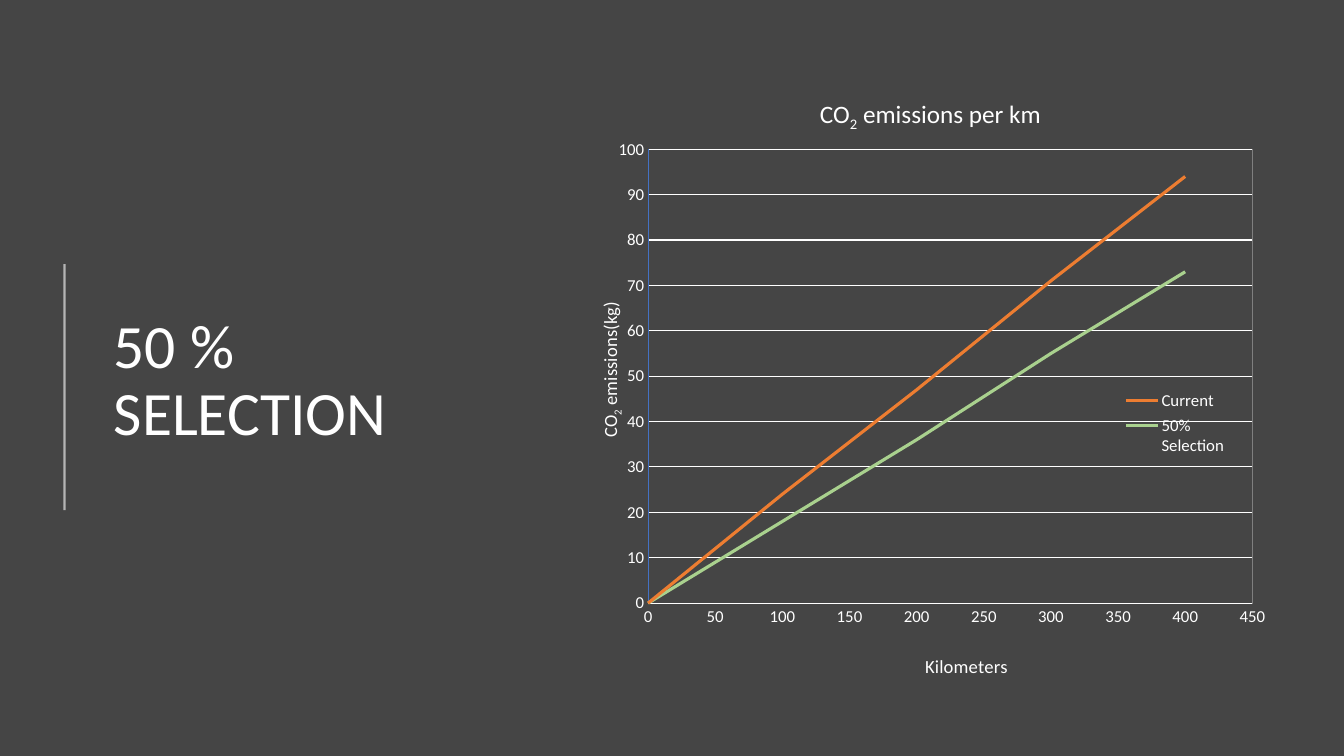
from dataclasses import dataclass

from lxml.etree import SubElement
from pptx import Presentation
from pptx.chart.chart import Chart
from pptx.chart.data import XyChartData
from pptx.dml.color import RGBColor
from pptx.enum.chart import XL_CHART_TYPE as ChartType
from pptx.enum.chart import XL_LEGEND_POSITION as LegendPosition
from pptx.enum.chart import XL_TICK_MARK as TickMark
from pptx.enum.shapes import MSO_CONNECTOR as Connector
from pptx.enum.text import MSO_ANCHOR as Anchor
from pptx.oxml import parse_xml
from pptx.oxml.ns import nsdecls, qn
from pptx.slide import Slide
from pptx.util import Inches, Pt

SLIDE_WIDTH = Inches(13.333)
SLIDE_HEIGHT = Inches(7.5)
FONT = "Calibri"

CHARCOAL = RGBColor(0x45, 0x45, 0x45)
WHITE = RGBColor(0xFF, 0xFF, 0xFF)
GREY = RGBColor(0x7F, 0x7F, 0x7F)
BLUE = RGBColor(0x44, 0x72, 0xC4)
ORANGE = RGBColor(0xED, 0x7D, 0x31)
GREEN = RGBColor(0xA9, 0xD1, 0x8E)


@dataclass(frozen=True)
class Frame:
    """Percentages of the slide, or of the chart for its parts."""

    left: float
    top: float
    width: float = 0
    height: float = 0

    def on_slide(self) -> tuple[int, int, int, int]:
        return (
            int(SLIDE_WIDTH * self.left / 100),
            int(SLIDE_HEIGHT * self.top / 100),
            int(SLIDE_WIDTH * self.width / 100),
            int(SLIDE_HEIGHT * self.height / 100),
        )


@dataclass(frozen=True)
class Scenario:
    name: str
    emissions: tuple[int, ...]
    color: RGBColor


@dataclass(frozen=True)
class AxisPlan:
    title: str
    maximum: int
    step: int
    line: RGBColor


HEADING = Frame(7.73, 10.4, 27.68, 80.27)
RULE = Frame(4.8, 34.93, 0, 32.54)
EMISSIONS_CHART = Frame(43.28, 9.33, 51.45, 81.2)

CHART_LAYOUT = {
    "c:chart/c:title": Frame(34, 3.9),
    "c:chart/c:plotArea": Frame(9.6, 12.9, 87.4, 74.3),
    "c:chart/c:plotArea/c:valAx[1]/c:title": Frame(49.2, 94.9),
    "c:chart/c:plotArea/c:valAx[2]/c:title": Frame(1.8, 37.4),
    "c:chart/c:legend": Frame(78, 51.6, 15.6, 12.2),
}

KILOMETERS = range(0, 401, 100)
SCENARIOS = (
    Scenario("Current", (0, 24, 47, 71, 94), ORANGE),
    Scenario("50% Selection", (0, 18, 36, 55, 73), GREEN),
)
DISTANCE = AxisPlan("Kilometers", 450, 50, WHITE)
EMISSIONS = AxisPlan("CO2 emissions(kg)", 100, 10, BLUE)


def style_font(font, size: float) -> None:
    font.name = FONT
    font.size = Pt(size)
    font.bold = False
    font.color.rgb = WHITE


def style_line(line, color: RGBColor, width: float) -> None:
    line.color.rgb = color
    line.width = Pt(width)


def write_label(frame, text: str, size: float) -> None:
    label = frame.paragraphs[0]
    style_font(label.font, size)
    for part in text.partition("2"):
        if part:
            run = label.add_run()
            run.text = part
            if part == "2":
                run.font._element.set("baseline", "-25000")


def place_part(chart: Chart, path: str, frame: Frame) -> None:
    part = chart.element.xpath(path)[0]
    for automatic in part.findall(qn("c:layout")):
        part.remove(automatic)
    layout = parse_xml(f"<c:layout {nsdecls('c')}/>")
    manual = SubElement(layout, qn("c:manualLayout"))
    settings = {}
    if path.endswith("plotArea"):
        settings["layoutTarget"] = "inner"
    settings |= {"xMode": "edge", "yMode": "edge"}
    settings |= {"x": frame.left / 100, "y": frame.top / 100}
    if frame.width:
        settings |= {"w": frame.width / 100, "h": frame.height / 100}
    for name, value in settings.items():
        SubElement(manual, qn(f"c:{name}")).set("val", str(value))
    overlay = part.find(qn("c:overlay"))
    if overlay is None:
        part.insert(0, layout)
    else:
        overlay.addprevious(layout)


def style_axis(axis, plan: AxisPlan) -> None:
    axis.minimum_scale = 0
    axis.maximum_scale = plan.maximum
    axis.major_unit = plan.step
    axis.major_tick_mark = axis.minor_tick_mark = TickMark.NONE
    style_font(axis.tick_labels.font, 12)
    style_line(axis.format.line, plan.line, 0.75)
    write_label(axis.axis_title.text_frame, plan.title, 13.3)


def add_heading(slide: Slide) -> None:
    frame = slide.shapes.add_textbox(*HEADING.on_slide()).text_frame
    frame.word_wrap = True
    frame.vertical_anchor = Anchor.MIDDLE
    heading = frame.paragraphs[0]
    heading.text = "50 % SELECTION"
    heading.line_spacing = 0.9
    style_font(heading.font, 44)


def add_rule(slide: Slide) -> None:
    left, top, width, height = RULE.on_slide()
    rule = slide.shapes.add_connector(
        Connector.STRAIGHT, left, top, left + width, top + height
    )
    style_line(rule.line, WHITE, 1.5)
    properties = rule.element.spPr
    color = properties.find(f".//{qn('a:srgbClr')}")
    SubElement(color, qn("a:alpha")).set("val", "60000")
    SubElement(properties, qn("a:effectLst"))


def add_emissions_chart(slide: Slide) -> None:
    readings = XyChartData()
    for scenario in SCENARIOS:
        series = readings.add_series(scenario.name)
        for distance, emission in zip(KILOMETERS, scenario.emissions):
            series.add_data_point(distance, emission)
    chart = slide.shapes.add_chart(
        ChartType.XY_SCATTER_LINES_NO_MARKERS, *EMISSIONS_CHART.on_slide(), readings
    ).chart
    style_font(chart.font, 10)
    write_label(chart.chart_title.text_frame, "CO2 emissions per km", 18)

    plot = chart.plots[0]
    plot.vary_by_categories = False
    for series, scenario in zip(plot.series, SCENARIOS):
        series.smooth = False
        style_line(series.format.line, scenario.color, 2.25)

    style_axis(chart.category_axis, DISTANCE)
    style_axis(chart.value_axis, EMISSIONS)
    chart.category_axis.has_major_gridlines = False
    chart.value_axis.has_major_gridlines = True
    style_line(chart.value_axis.major_gridlines.format.line, WHITE, 0.75)
    turned = chart.value_axis.axis_title.text_frame._txBody.bodyPr
    turned.set("rot", "-5400000")
    turned.set("vert", "horz")

    chart.has_legend = True
    chart.legend.position = LegendPosition.RIGHT
    chart.legend.include_in_layout = True
    style_font(chart.legend.font, 12)

    for path, frame in CHART_LAYOUT.items():
        place_part(chart, path, frame)
    border = parse_xml(
        f"<c:spPr {nsdecls('c', 'a')}><a:noFill/><a:ln w='9525'><a:solidFill>"
        f"<a:srgbClr val='{GREY}'/></a:solidFill></a:ln></c:spPr>"
    )
    chart.element.xpath("c:chart/c:plotArea")[0].append(border)


def main() -> None:
    deck = Presentation()
    deck.slide_width = SLIDE_WIDTH
    deck.slide_height = SLIDE_HEIGHT
    slide = deck.slides.add_slide(deck.slide_layouts[6])
    slide.background.fill.solid()
    slide.background.fill.fore_color.rgb = CHARCOAL
    add_heading(slide)
    add_rule(slide)
    add_emissions_chart(slide)
    deck.save("out.pptx")


if __name__ == "__main__":
    main()
